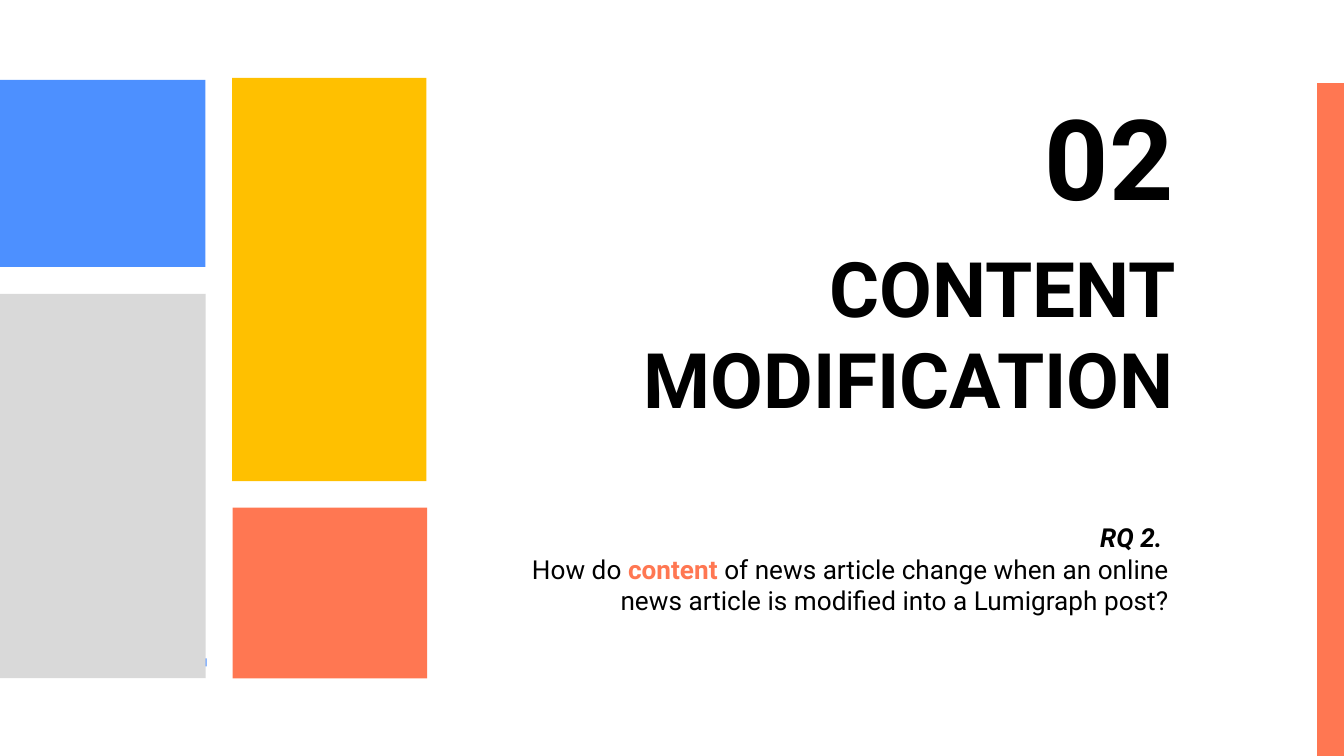
from dataclasses import dataclass

from pptx import Presentation
from pptx import util as u
from pptx.dml import color
from pptx.enum import shapes, text


@dataclass(frozen=True)
class Theme:
    """Colours, font and type sizes of the slide."""
    font: str = "Roboto"
    ink: str = "000000"
    blue: str = "4D90FF"
    grey: str = "D9D9D9"
    yellow: str = "FFC000"
    coral: str = "FF7752"
    number: int = 60
    title: int = 41
    body: int = 14


THEME = Theme()


def place(box, left, top, width, height):
    """Set the position and size of a box in points."""
    frame = dict(left=left, top=top, width=width, height=height)
    for name, value in frame.items():
        setattr(box, name, u.Pt(value))


def add_block(page, fill, left, top, width, height):
    """Add a plain coloured rectangle."""
    block = page.shapes.add_shape(
        shapes.MSO_SHAPE.RECTANGLE, *map(u.Pt, (left, top, width, height)))
    block.shadow.inherit = False
    block.fill.solid()
    block.fill.fore_color.rgb = color.RGBColor.from_string(fill)
    block.line.fill.background()


def add_span(para, wording, size, fill=THEME.ink, bold=True, italic=False):
    """Add one formatted run to a paragraph."""
    span = para.add_run()
    span.text = wording
    style = dict(name=THEME.font, size=u.Pt(size), bold=bold, italic=italic)
    for name, value in style.items():
        setattr(span.font, name, value)
    span.font.color.rgb = color.RGBColor.from_string(fill)


def fill_text(box, paragraphs, size, anchor=text.MSO_ANCHOR.TOP, bottom=7.2):
    """Write right-aligned paragraphs, each a list of (wording, format) pairs."""
    frame = box.text_frame
    layout = dict(word_wrap=True, auto_size=text.MSO_AUTO_SIZE.NONE,
                  vertical_anchor=anchor, margin_left=u.Pt(7.2),
                  margin_right=u.Pt(7.2), margin_top=u.Pt(7.2),
                  margin_bottom=u.Pt(bottom))
    for name, value in layout.items():
        setattr(frame, name, value)
    for index, spans in enumerate(paragraphs):
        para = frame.add_paragraph() if index else frame.paragraphs[0]
        para.alignment = text.PP_ALIGN.RIGHT
        para.space_before = u.Pt(0)
        for wording, style in spans:
            add_span(para, wording, size, **style)


def main():
    """Build the section slide and save it."""
    deck = Presentation()
    deck.slide_width, deck.slide_height = u.Pt(720), u.Pt(405)
    page = deck.slides.add_slide(deck.slide_layouts[2])

    blocks = [
        (THEME.coral, 705.6, 44.5, 14.4, 360.5),
        (THEME.blue, 109.8, 352.8, 0.9, 4.3),
        (THEME.grey, 0, 157.5, 110.2, 205.8),
        (THEME.blue, 0, 42.8, 110, 100.2),
        (THEME.coral, 124.6, 272, 104.2, 91.5),
        (THEME.yellow, 124.4, 41.8, 104, 216),
    ]
    for block in blocks:
        add_block(page, *block)

    title, question = page.placeholders
    place(title, 262, 121.7, 374.4, 66.2)
    fill_text(title, [[("CONTENT MODIFICATION", {})]], THEME.title)

    number = page.shapes.add_textbox(0, 0, 0, 0)
    place(number, 537, 47.5, 98.7, 72)
    fill_text(number, [[("02", {})]], THEME.number,
              text.MSO_ANCHOR.BOTTOM, bottom=0)

    place(question, 264, 272.2, 369.4, 65.5)
    fill_text(question, [
        [("RQ 2. ", dict(italic=True))],
        [("How do ", dict(bold=False)),
         ("content", dict(fill=THEME.coral)),
         (" of news article change when an online news article"
          " is modified into an Lumigraph post?".replace("an L", "a L"),
          dict(bold=False))],
    ], THEME.body)

    deck.save("out.pptx")


if __name__ == "__main__":
    main()
